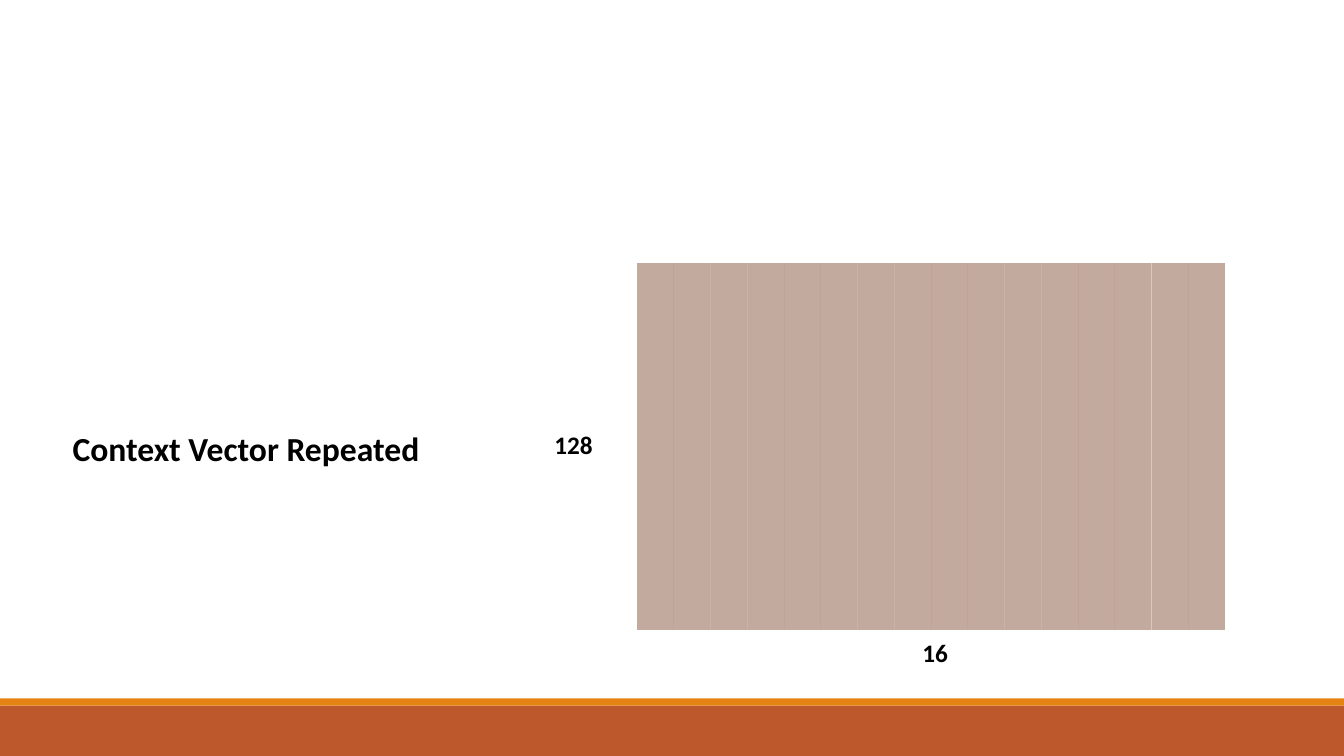
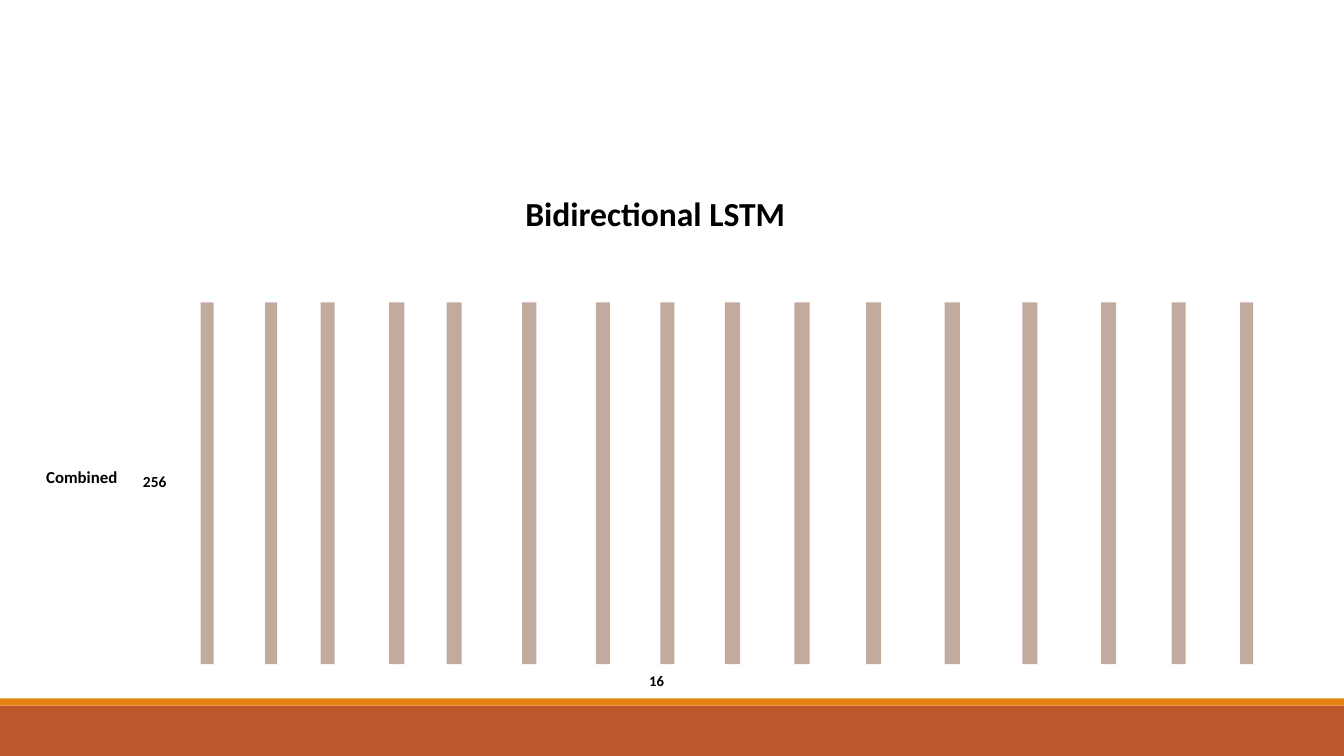
from dataclasses import dataclass

from lxml import etree
from pptx import Presentation
from pptx.dml.color import RGBColor
from pptx.enum import shapes, text
from pptx.oxml import ns
from pptx.util import Inches, Pt

COLORS = {"footer": "BD582C", "accent": "E48312", "vector": "865640", "text": "000000"}
FONT = "Calibri"
TITLE_ONLY = 5
STEPS = 16


@dataclass
class Box:
    left: float
    top: float
    width: float
    height: float

    def lengths(self):
        return [Inches(side) for side in (self.left, self.top, self.width, self.height)]


@dataclass
class Label:
    words: str
    box: Box
    size: float
    line_spacing: float = 1.07
    space_after: float = 8


@dataclass
class Page:
    title: str
    title_box: Box
    labels: list[Label]
    vectors: list[Box]


def add_rectangle(slide, box: Box, color: str, opacity: int = 100):
    shape = slide.shapes.add_shape(shapes.MSO_SHAPE.RECTANGLE, *box.lengths())
    shape.shadow.inherit = False
    shape.line.fill.background()
    shape.fill.solid()
    shape.fill.fore_color.rgb = RGBColor.from_string(COLORS[color])
    if opacity < 100:
        fill_color = shape.element.spPr.find(".//" + ns.qn("a:srgbClr"))
        etree.SubElement(fill_color, ns.qn("a:alpha"), val=str(opacity * 1000))
    return shape


def write(shape, words: str, size: float):
    frame = shape.text_frame
    frame.text = words
    frame.word_wrap = True
    frame.vertical_anchor = text.MSO_ANCHOR.TOP
    paragraph = frame.paragraphs[0]
    paragraph.alignment = text.PP_ALIGN.LEFT
    font = paragraph.runs[0].font
    font.name, font.size, font.bold = FONT, Pt(size), True
    font.color.rgb = RGBColor.from_string(COLORS["text"])
    return paragraph


def add_title(slide, words: str, box: Box) -> None:
    title = slide.shapes.title
    title.left, title.top, title.width, title.height = box.lengths()
    write(title, words, 24)
    title.text_frame.auto_size = text.MSO_AUTO_SIZE.SHAPE_TO_FIT_TEXT


def add_label(slide, label: Label) -> None:
    textbox = slide.shapes.add_textbox(*label.box.lengths())
    paragraph = write(textbox, label.words, label.size)
    paragraph.line_spacing = label.line_spacing
    paragraph.space_after = Pt(label.space_after)


def add_master_bands(presentation, slide) -> None:
    bands = [("footer", Box(0, 7, 13.33, 0.5)), ("accent", Box(0, 6.93, 13.33, 0.07))]
    master_tree = presentation.slide_master.element.cSld.spTree
    for index, (color, box) in enumerate(bands):
        band = add_rectangle(slide, box, color)
        band.element.nvSpPr.cNvPr.id = 100 + index
        master_tree.insert(2 + index, band.element)


def repeated_vectors() -> list[Box]:
    width = 5.83 / STEPS
    return [Box(6.32 + step * width, 2.61, width, 3.64) for step in range(STEPS)]


def combined_vectors() -> list[Box]:
    columns = [
        (1.99, 0.13), (2.63, 0.12), (3.18, 0.14), (3.86, 0.15),
        (4.43, 0.15), (5.18, 0.14), (5.91, 0.14), (6.55, 0.14),
        (7.19, 0.15), (7.88, 0.15), (8.59, 0.15), (9.37, 0.15),
        (10.14, 0.15), (10.92, 0.15), (11.62, 0.14), (12.3, 0.13),
    ]
    return [Box(left, 3, width, 3.59) for left, width in columns]


PAGES = [
    Page(
        "Context Vector Repeated",
        Box(0.62, 4.19, 3.95, 0.5),
        [
            Label("128", Box(5.4, 4.19, 0.66, 0.52), 18),
            Label("16", Box(9.05, 6.25, 0.66, 0.52), 18),
        ],
        repeated_vectors(),
    ),
    Page(
        "Bidirectional LSTM",
        Box(5.11, 1.86, 4.33, 0.5),
        [
            Label("16", Box(6.34, 6.6, 0.66, 0.52), 10.5),
            Label("256", Box(1.32, 4.62, 0.54, 0.34), 11),
            Label("Combined", Box(0.36, 4.58, 0.97, 0.3), 12, 1, 0),
        ],
        combined_vectors(),
    ),
]


def main() -> None:
    presentation = Presentation()
    presentation.slide_width, presentation.slide_height = Inches(13.33), Inches(7.5)
    for number, page in enumerate(PAGES):
        slide = presentation.slides.add_slide(presentation.slide_layouts[TITLE_ONLY])
        if number == 0:
            add_master_bands(presentation, slide)
        add_title(slide, page.title, page.title_box)
        for vector in page.vectors:
            add_rectangle(slide, vector, "vector", 50)
        for label in page.labels:
            add_label(slide, label)
    presentation.save("out.pptx")


if __name__ == "__main__":
    main()
